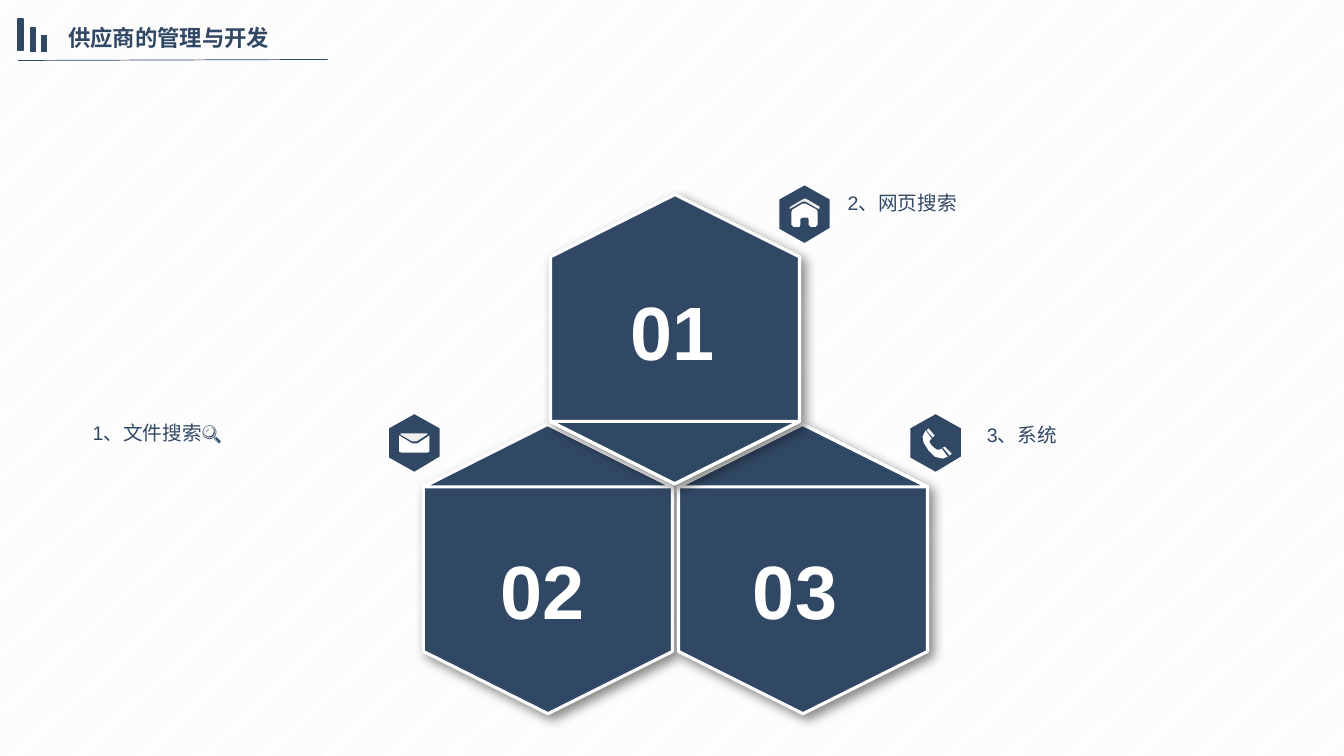
from dataclasses import dataclass

from lxml.etree import SubElement
from pptx import Presentation
from pptx.dml.color import RGBColor
from pptx.enum.dml import MSO_PATTERN
from pptx.enum.shapes import MSO_CONNECTOR, MSO_SHAPE
from pptx.enum.text import MSO_AUTO_SIZE, PP_ALIGN
from pptx.oxml.ns import qn
from pptx.shapes.autoshape import Shape
from pptx.slide import Slide
from pptx.util import Emu, Pt

PX = 9144  # 100 px to the inch
COLORS = {"navy": "314865", "white": "FFFFFF", "pale": "F0EFEF", "stripe": "F2F2F2"}
FONT = "Arial"
HEX_WIDTH, HEX_HEIGHT, FLAP_HEIGHT = 247, 287, 62

Points = list[tuple[int, int]]


@dataclass(frozen=True)
class Cell:
    """A large numbered hexagon; its flap is the top or bottom corner."""
    left: int
    top: int
    flap_below: bool
    number: str
    number_left: int
    number_top: int


@dataclass(frozen=True)
class Patch:
    color: str
    points: Points


@dataclass(frozen=True)
class Topic:
    """A small icon badge with its label."""
    left: int
    top: int
    icon: list[Patch]
    label: str
    label_left: int
    label_top: int


BARS = [(18, 19, 31), (30, 28, 23), (41, 35, 16)]  # left, top, height
CELLS = [
    Cell(420, 421, False, "02", 487, 535),
    Cell(673, 421, False, "03", 737, 535),
    Cell(546, 193, True, "01", 616, 278),
]
BADGE = Patch("navy", [(0, 14), (25, 0), (50, 14), (50, 42), (25, 57), (0, 43)])
HOUSE = [
    Patch("white", [(26, 18), (23, 18), (13, 24), (12, 26), (12, 39), (14, 41),
                    (20, 41), (21, 39), (21, 33), (23, 32), (28, 32), (29, 33),
                    (29, 39), (31, 41), (36, 41), (38, 39), (38, 26), (37, 24)]),
    Patch("pale", [(40, 23), (38, 23), (26, 16), (23, 16), (11, 23), (10, 23),
                   (11, 21), (23, 14), (26, 13), (40, 21)]),
]
PHONE = [
    Patch("white", [(31, 34), (29, 35), (26, 35), (22, 32), (19, 28), (19, 26),
                    (21, 24), (15, 16), (12, 22), (13, 28), (18, 36), (24, 42),
                    (32, 44), (37, 42)]),
    Patch("pale", [(41, 39), (39, 41), (32, 33), (34, 32)]),
    Patch("pale", [(24, 21), (22, 23), (16, 16), (18, 14)]),
]
ENVELOPE = [
    Patch("pale", [(27, 27), (38, 20), (38, 19), (12, 19), (11, 20), (23, 27)]),
    Patch("white", [(28, 29), (23, 29), (10, 21), (10, 37), (12, 38), (38, 38),
                    (40, 37), (40, 21)]),
]
TOPICS = [
    Topic(773, 184, HOUSE, "2、网页搜索", 831, 180),
    Topic(903, 411, PHONE, "3、系统", 969, 410),
    Topic(386, 411, ENVELOPE, "1、文件搜索🔍", 82, 408),
]


def px(length: int) -> Emu:
    return Emu(length * PX)


def color(name: str) -> RGBColor:
    return RGBColor.from_string(COLORS[name])


def paint(shape: Shape, fill: str, line: str | None = None, width: float = 1) -> None:
    shape.shadow.inherit = False
    shape.fill.solid()
    shape.fill.fore_color.rgb = color(fill)
    if line is None:
        shape.line.fill.background()
    else:
        shape.line.color.rgb = color(line)
        shape.line.width = Pt(width)


def add_outline(page: Slide, left: int, top: int, points: Points) -> Shape:
    """Closed polygon whose points are relative to left and top."""
    first, *others = [(left + x, top + y) for x, y in points]
    builder = page.shapes.build_freeform(*first, scale=PX)
    builder.add_line_segments(others, close=True)
    return builder.convert_to_shape()


def add_text(page: Slide, text: str, left: int, top: int, width: int, height: int, *,
             size: int, ink: str = "navy", bold: bool = False, wrap: bool = True,
             spacing: float | None = None, align: PP_ALIGN | None = None) -> None:
    box = page.shapes.add_textbox(px(left), px(top), px(width), px(height))
    frame = box.text_frame
    frame.word_wrap = wrap
    frame.auto_size = MSO_AUTO_SIZE.SHAPE_TO_FIT_TEXT
    para = frame.paragraphs[0]
    para.alignment = align
    para.line_spacing = spacing
    span = para.add_run()
    span.text = text
    span.font.name = FONT
    span.font.size = Pt(size)
    span.font.bold = bold
    span.font.color.rgb = color(ink)


def add_drop_shadow(shape: Shape) -> None:
    effects = shape._element.spPr.find(qn("a:effectLst"))
    shadow = SubElement(effects, qn("a:outerShdw"), blurRad=str(Pt(8)), dist=str(Pt(4)),
                        dir="2700000", algn="tl", rotWithShape="0")
    black = SubElement(shadow, qn("a:srgbClr"), val="000000")
    SubElement(black, qn("a:alpha"), val="45000")


def add_cell(page: Slide, cell: Cell) -> None:
    # The preset lies on its side, so turn it about its centre.
    shift = (HEX_HEIGHT - HEX_WIDTH) // 2
    hexagon = page.shapes.add_shape(MSO_SHAPE.HEXAGON, px(cell.left - shift),
                                    px(cell.top + shift), px(HEX_HEIGHT), px(HEX_WIDTH))
    hexagon.rotation = 270
    paint(hexagon, "navy", "white", 2.25)
    add_drop_shadow(hexagon)

    tip, base = 0, FLAP_HEIGHT
    if cell.flap_below:
        tip, base = HEX_HEIGHT, HEX_HEIGHT - FLAP_HEIGHT
    flap = add_outline(page, cell.left, cell.top,
                       [(HEX_WIDTH // 2, tip), (HEX_WIDTH, base), (0, base)])
    paint(flap, "navy", "white", 2.25)
    tint = flap._element.spPr.find(qn("a:solidFill"))[0]
    SubElement(tint, qn("a:alpha"), val="50000")


def add_topic(page: Slide, topic: Topic) -> None:
    for patch in [BADGE, *topic.icon]:
        paint(add_outline(page, topic.left, topic.top, patch.points), patch.color)
    add_text(page, topic.label, topic.label_left, topic.label_top, 254, 38,
             size=14, spacing=1.2)


def add_heading(page: Slide) -> None:
    rule = page.shapes.add_connector(MSO_CONNECTOR.STRAIGHT, px(18), px(60), px(325), px(59))
    rule.line.color.rgb = color("navy")
    rule.line.width = Pt(0.5)
    SubElement(rule._element.spPr, qn("a:effectLst"))
    add_text(page, "供应商的管理与开发", 58, 19, 266, 37, size=16, bold=True,
             align=PP_ALIGN.JUSTIFY)
    for left, top, height in BARS:
        bar = page.shapes.add_shape(MSO_SHAPE.RECTANGLE, px(left), px(top), px(5), px(height))
        paint(bar, "navy", "navy")


def main() -> None:
    deck = Presentation()
    deck.slide_width, deck.slide_height = px(1333), px(750)
    page = deck.slides.add_slide(deck.slide_layouts[6])
    backdrop = page.background.fill
    backdrop.patterned()
    backdrop.pattern = MSO_PATTERN.DARK_UPWARD_DIAGONAL
    backdrop.fore_color.rgb = color("stripe")
    backdrop.back_color.rgb = color("white")

    for topic in TOPICS:
        add_topic(page, topic)
    for cell in CELLS:
        add_cell(page, cell)
    for cell in CELLS:
        add_text(page, cell.number, cell.number_left, cell.number_top, 104, 101,
                 size=54, ink="white", bold=True, wrap=False)
    add_heading(page)
    deck.save("out.pptx")


if __name__ == "__main__":
    main()
